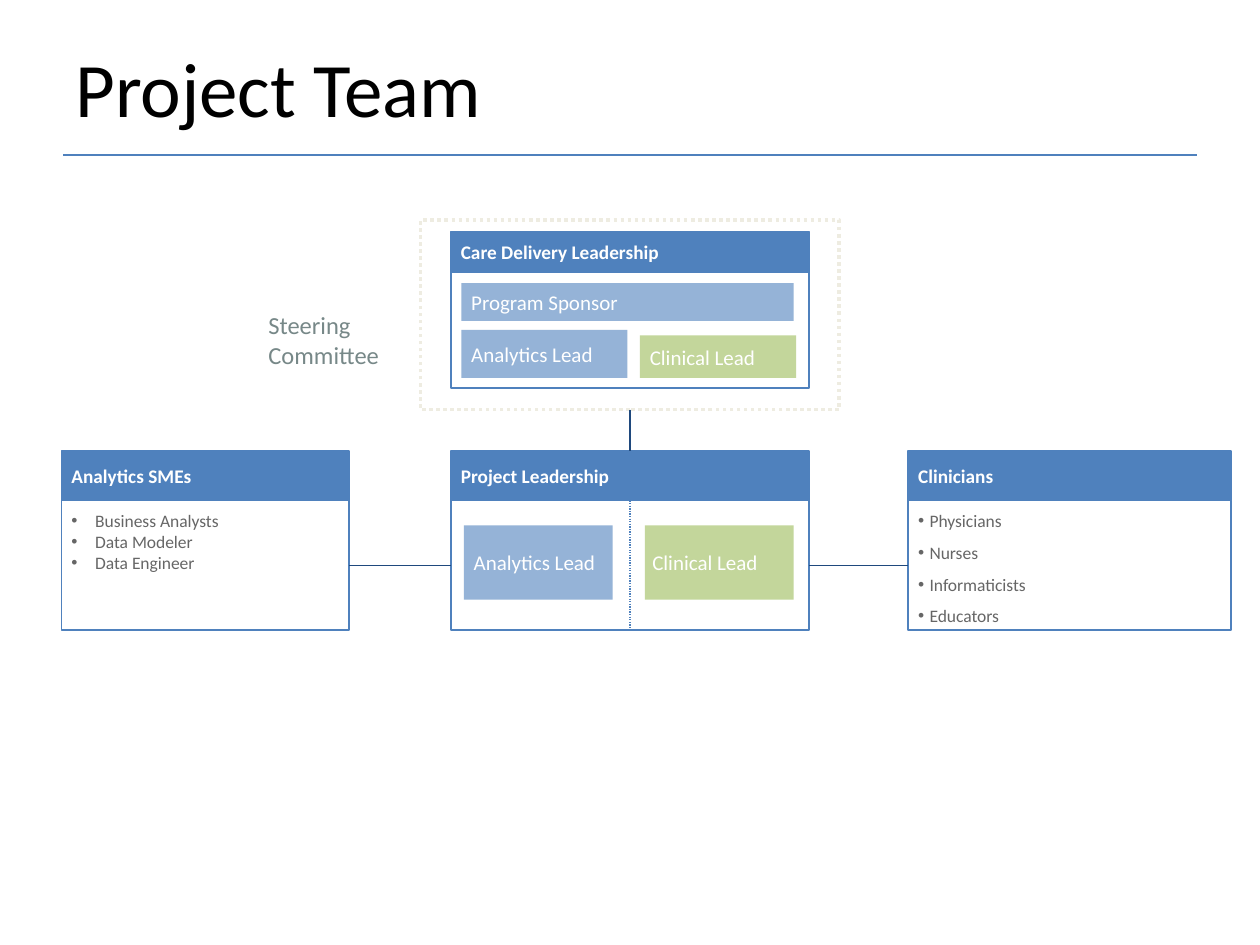
from collections import namedtuple

from lxml.etree import SubElement
from pptx import Presentation
from pptx.dml.color import RGBColor
from pptx.enum.dml import MSO_LINE
from pptx.enum.shapes import MSO_CONNECTOR, MSO_SHAPE
from pptx.enum.text import MSO_ANCHOR, PP_ALIGN
from pptx.oxml.ns import qn
from pptx.util import Cm, Pt

Box = namedtuple("Box", "left top width height")
BLUE, PALE_BLUE, GREEN, NAVY = "4F81BD", "95B3D7", "C3D69B", "1F497D"
WHITE, GREY = "FFFFFF", "666666"
INSETS = (0.2, 0.1, 0.2, 0.1)
LEFT, CENTRE, RIGHT = Box(1.24, 9.09, 5.8, 3.61), Box(9.09, 9.09, 7.22, 3.61), Box(18.31, 9.09, 6.5, 3.61)


def colour(value):
    """Return the colour for a hex string."""
    return RGBColor.from_string(value)


def apply(target, values):
    """Set each attribute of target from a dict."""
    for name, value in values.items():
        setattr(target, name, value)


def inside(box, left, top, width, height):
    """Return a box placed relative to the corner of another."""
    return Box(box.left + left, box.top + top, width, height)


def style_line(line, tint, width, dash=None):
    """Give a line its colour, width and dash."""
    line.color.rgb = colour(tint)
    apply(line, {"width": Pt(width), "dash_style": dash})


def write(shape, lines, size, tint, bold=False, anchor=MSO_ANCHOR.MIDDLE, insets=INSETS):
    """Write one paragraph for each line and return the paragraphs."""
    frame = shape.text_frame
    sides = ("margin_left", "margin_top", "margin_right", "margin_bottom")
    apply(frame, {"word_wrap": True, "vertical_anchor": anchor})
    apply(frame, {side: Cm(inset) for side, inset in zip(sides, insets)})
    frame.text = "\n".join(lines)
    for para in frame.paragraphs:
        para.alignment = PP_ALIGN.LEFT
        for span in para.runs:
            apply(span.font, {"name": "Calibri", "size": Pt(size), "bold": bold})
            span.font.color.rgb = colour(tint)
    return frame.paragraphs


def add_bullets(paras, indent, space):
    """Give paragraphs a bullet, a hanging indent and space before."""
    for para in paras:
        para.space_before = Pt(space)
        properties = para._p.get_or_add_pPr()
        properties.set("marL", str(Cm(indent)))
        properties.set("indent", str(-Cm(indent)))
        SubElement(properties, qn("a:buFont"), typeface="Arial")
        SubElement(properties, qn("a:buChar"), char="•")


def add_rectangle(shapes, box, fill=None, outline=None, width=1, dash=None):
    """Add a flat rectangle."""
    shape = shapes.add_shape(MSO_SHAPE.RECTANGLE, *map(Cm, box))
    shape.shadow.inherit = False
    if fill:
        shape.fill.solid()
        shape.fill.fore_color.rgb = colour(fill)
    else:
        shape.fill.background()
    if outline:
        style_line(shape.line, outline, width, dash)
    else:
        shape.line.fill.background()
    return shape


def add_line(shapes, start=(0, 0), end=(0, 0), tint=NAVY, width=0.75, dash=None):
    """Add a straight line without a shadow."""
    line = shapes.add_connector(MSO_CONNECTOR.STRAIGHT, *map(Cm, (*start, *end)))
    style_line(line.line, tint, width, dash)
    SubElement(line._element.spPr, qn("a:effectLst"))
    return line


def join(page, first, first_side, second, second_side):
    """Join the sides of two shapes with a line."""
    line = add_line(page.shapes)
    line.begin_connect(first, first_side)
    line.end_connect(second, second_side)


def add_tile(shapes, box, label, fill, insets=INSETS):
    """Add a filled role tile."""
    write(add_rectangle(shapes, box, fill), [label], 12, WHITE, insets=insets)


def add_panel(page, box, heading, header_height):
    """Add a grouped panel and return its shapes, body and header."""
    shapes = page.shapes.add_group_shape().shapes
    body_box = inside(box, 0, header_height, box.width, box.height - header_height)
    body = add_rectangle(shapes, body_box, WHITE, BLUE)
    header = add_rectangle(shapes, box._replace(height=header_height), BLUE, BLUE)
    write(header, [heading], 11, WHITE, bold=True)
    return shapes, body, header


def add_list_panel(page, box, heading, members, indent, space):
    """Add a panel with a bulleted list and return its body."""
    body = add_panel(page, box, heading, 1)[1]
    paras = write(body, members, 10, GREY, anchor=MSO_ANCHOR.TOP, insets=(0.2, 0.2, 0.2, 0.1))
    add_bullets(paras, indent, space)
    return body


def add_title(page, box):
    """Add the title and the rule below it."""
    title = page.shapes.add_textbox(*map(Cm, box))
    write(title, ["Project Team"], 44, "000000", insets=(0.25, 0.13, 0.25, 0.13))
    level = box.top + 2.76
    add_line(page.shapes, (box.left, level), (box.left + box.width, level), BLUE, 1)


def add_steering_committee(page, box):
    """Add the dotted committee frame, its label and panel; return the frame."""
    frame = add_rectangle(page.shapes, box, outline="EEECE1", width=2, dash=MSO_LINE.ROUND_DOT)
    label = page.shapes.add_textbox(*map(Cm, inside(box, -3.07, 1.68, 2.82, 1.45)))
    write(label, ["Steering Committee"], 14, "778888", insets=(0, 0, 0, 0))
    panel = inside(box, 0.61, 0.23, 7.22, 3.15)
    shapes = add_panel(page, panel, "Care Delivery Leadership", 0.81)[0]
    add_tile(shapes, inside(panel, 0.21, 1.04, 6.7, 0.76), "Program Sponsor", PALE_BLUE)
    add_tile(shapes, inside(panel, 0.21, 1.98, 3.35, 0.97), "Analytics Lead", PALE_BLUE)
    add_tile(shapes, inside(panel, 3.81, 2.09, 3.15, 0.86), "Clinical Lead", GREEN)
    return frame


def add_project_leadership(page, box):
    """Add the divided leadership panel and return its body and header."""
    shapes, body, header = add_panel(page, box, "Project Leadership", 1)
    middle = box.left + box.width / 2
    add_line(shapes, (middle, box.top + 1), (middle, box.top + box.height), BLUE, 0.75, MSO_LINE.ROUND_DOT)
    add_tile(shapes, inside(box, 0.26, 1.5, 3, 1.5), "Analytics Lead", PALE_BLUE)
    add_tile(shapes, inside(box, 3.91, 1.5, 3, 1.5), "Clinical Lead", GREEN, (0.15, 0.1, 0.08, 0.1))
    return body, header


def main():
    """Build and save the slide."""
    deck = Presentation()
    apply(deck, {"slide_width": Cm(25.4), "slide_height": Cm(19.05)})
    page = deck.slides.add_slide(deck.slide_layouts[6])
    add_title(page, Box(1.27, 0.36, 22.86, 2.79))
    committee = add_steering_committee(page, Box(8.48, 4.44, 8.44, 3.82))
    analysts = add_list_panel(
        page, LEFT, "Analytics SMEs", ["Business Analysts", "Data Modeler", "Data Engineer"], 0.48, 0)
    clinicians = add_list_panel(
        page, RIGHT, "Clinicians", ["Physicians", "Nurses", "Informaticists", "Educators"], 0.23, 6)
    leadership, heading = add_project_leadership(page, CENTRE)
    join(page, committee, 2, heading, 0)
    join(page, analysts, 3, leadership, 1)
    join(page, leadership, 3, clinicians, 1)
    deck.save("out.pptx")


if __name__ == "__main__":
    main()
